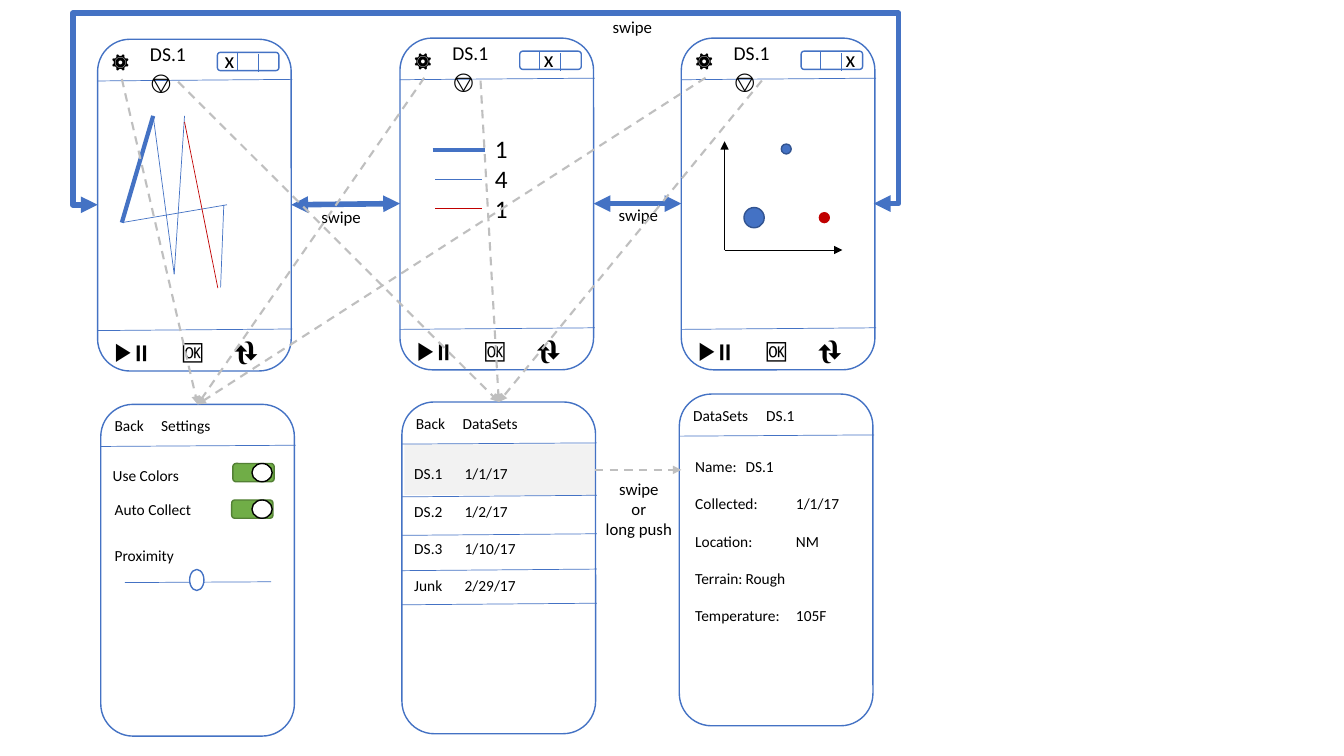
from lxml import etree
from pptx import Presentation
from pptx.dml.color import RGBColor
from pptx.enum import dml, shapes, text
from pptx.oxml import ns
from pptx.util import Cm, Pt

BLUE, RED, GREY, BLACK, WHITE = "4472C4", "C00000", "BFBFBF", "000000", "FFFFFF"
PHONE_WIDTH, PHONE_HEIGHT = 4.88, 8.36
ROUNDED, OVAL = shapes.MSO_SHAPE.ROUNDED_RECTANGLE, shapes.MSO_SHAPE.OVAL

presentation = Presentation()
presentation.slide_width, presentation.slide_height = Cm(33.87), Cm(19.05)
slide = presentation.slides.add_slide(presentation.slide_layouts[6])


def add(kind, left, top, width, height, fill=None, line=None, content="", size=11):
    """Add a preset shape, or a text box when kind is None."""
    box = [Cm(value) for value in (left, top, width, height)]
    if kind is None:
        shape = slide.shapes.add_textbox(*box)
        frame = shape.text_frame
        frame.word_wrap = True
        frame.margin_right = 0
        frame.text = content
        for paragraph in frame.paragraphs:
            for run in paragraph.runs:
                run.font.name, run.font.size = "Calibri", Pt(size)
                run.font.color.rgb = RGBColor.from_string(BLACK)
        return shape
    shape = slide.shapes.add_shape(kind, *box)
    shape.shadow.inherit = False
    for format_fill, color in ((shape.fill, fill), (shape.line.fill, line)):
        if color:
            format_fill.solid()
            format_fill.fore_color.rgb = RGBColor.from_string(color)
        else:
            format_fill.background()
    if line:
        shape.line.width = Pt(1)
    return shape


def connect(x1, y1, x2, y2, color=BLUE, width=0.5, ends=(), dashed=False,
            kind=shapes.MSO_CONNECTOR.STRAIGHT):
    """Add a connector; ends lists headEnd and tailEnd where arrowheads go."""
    connector = slide.shapes.add_connector(kind, Cm(x1), Cm(y1), Cm(x2), Cm(y2))
    connector.line.color.rgb = RGBColor.from_string(color)
    connector.line.width = Pt(width)
    if dashed:
        connector.line.dash_style = dml.MSO_LINE.DASH
    line = connector.line._get_or_add_ln()
    for end in ends:
        etree.SubElement(line, ns.qn("a:" + end), type="triangle")
    etree.SubElement(connector._element.spPr, ns.qn("a:effectLst"))
    return connector


# Three data screens: frame, header, page indicator and control icons
data_screens = [(2.46, 0.99, 2.95), (10.08, 0.96, 3.38), (17.17, 0.96, 3.89)]
for left, top, mark in data_screens:
    add(ROUNDED, left, top, PHONE_WIDTH, PHONE_HEIGHT, WHITE, BLUE)
    for y in (1.05, 7.34):
        connect(left, top + y, left + 4.91, top + y - 0.04)
    add(None, left + 0.1, top + 0.13, 1.02, 0.86, content="⚙", size=14)
    title = add(None, left + 1.07, top - 0.05, 1.9, 1.12, content="DS.1\n⎊", size=14)
    title.text_frame.paragraphs[1].runs[0].font.size = Pt(20)
    add(ROUNDED, left + 3.02, top + 0.33, 1.55, 0.46, WHITE, BLUE)
    for x, y in ((3.51, 0.33), (4.04, 0.37)):
        connect(left + x, top + y, left + x, top + y + 0.45)
    add(None, left + mark, top + 0.05, 0.64, 0.86, content="x", size=16)
    for x, icon in ((0.18, "▶️⏸"), (1.83, "🆗"), (3.18, "🔃")):
        add(None, left + x, top + 7.34, 1.5, 1.02, content=icon, size=18)

# Screen 1: path of strokes
for x1, y1, x2, y2, color, width in [
    (3.07, 5.61, 5.72, 5.16, BLUE, 0.5),
    (3.07, 5.61, 3.86, 2.92, BLUE, 3),
    (4.39, 6.91, 3.86, 2.92, BLUE, 0.5),
    (4.39, 6.91, 4.65, 2.92, BLUE, 0.5),
    (5.49, 7.26, 4.65, 3.07, RED, 0.5),
    (5.56, 7.24, 5.64, 5.16, BLUE, 0.5),
]:
    connect(x1, y1, x2, y2, color, width)

# Screen 2: counts per stroke type
connect(10.9, 3.78, 12.22, 3.78, BLUE, 3)
for y, color in ((4.52, BLUE), (5.26, RED)):
    connect(12.14, y, 10.97, y, color)
add(None, 12.22, 3.23, 0.84, 2.57, content="1\n4\n1", size=18)

# Screen 3: bubble plot
for x, y in ((21.23, 6.3), (18.26, 3.56)):
    connect(18.26, 6.3, x, y, BLACK, ends=["tailEnd"])
for x, y, size, fill, line in [
    (18.75, 5.23, 0.51, BLUE, "325491"),
    (19.69, 3.63, 0.25, BLUE, "325491"),
    (20.65, 5.36, 0.25, RED, RED),
]:
    add(OVAL, x, y, size, size, fill, line)

# Detail screens: highlighted list row, frames and headers
add(shapes.MSO_SHAPE.RECTANGLE, 10.19, 11.2, 4.83, 1.27, "F2F2F2")
for left, top, back, title, gap in [
    (2.54, 10.19, "Back", "Settings", 1.27),
    (10.13, 10.13, "Back", "DataSets", 1.28),
    (17.12, 9.93, "DataSets", "DS.1", 1.94),
]:
    add(ROUNDED, left, top, PHONE_WIDTH, PHONE_HEIGHT, None, BLUE)
    connect(left, top + 1.06, left + 4.91, top + 1.03)
    add(None, left + 0.1, top + 0.18, 2, 0.74, content=back)
    add(None, left + gap, top + 0.18, 2.2, 0.74, content=title)

# Settings: labels, toggles and slider
for x, y, label in [(2.59, 11.61, "Use Colors"), (2.64, 12.47, "Auto Collect"),
                    (2.64, 13.64, "Proximity")]:
    add(None, x, y, 2.6, 0.74, content=label)
for x, y in ((5.87, 11.68), (5.84, 12.6)):
    add(ROUNDED, x, y, 1.04, 0.46, "70AD47", "538035")
    add(OVAL, 6.35, y, 0.51, 0.46, WHITE, BLACK)
connect(3.15, 14.68, 6.83, 14.66)
add(OVAL, 4.78, 14.35, 0.36, 0.53, WHITE, BLUE)

# Data set list and its details, in two tabbed columns
for y in (12.52, 13.49, 14.38, 15.24):
    connect(10.13, y, 15.04, y - 0.04)
for left, top, rows in [
    (10.19, 11.58, ["DS.1\t1/1/17", "DS.2\t1/2/17", "DS.3\t1/10/17", "Junk\t2/29/17"]),
    (17.27, 11.4, ["Name:\tDS.1", "Collected:\t1/1/17", "Location:\tNM",
                   "Terrain:\tRough", "Temperature:\t105F"]),
]:
    listing = add(None, left, top, 4.4, 0.93 * len(rows), content="\n".join(rows))
    for paragraph in listing.text_frame.paragraphs:
        paragraph.space_after = Pt(13.4)

# Swipe arrows between the data screens
both_ends = ("headEnd", "tailEnd")
connect(7.34, 5.16, 10.08, 5.13, BLUE, 4, both_ends)
connect(14.96, 5.13, 17.17, 5.13, BLUE, 4, both_ends)
loop = connect(22.02, 5.13, 2.46, 5.16, BLUE, 4, both_ends, kind=shapes.MSO_CONNECTOR.ELBOW)
loop._element.spPr.find(ns.qn("a:xfrm")).set("rot", "10800000")
geometry = loop._element.spPr.find(ns.qn("a:prstGeom"))
geometry.set("prst", "bentConnector5")
guides = geometry.find(ns.qn("a:avLst"))
if guides is None:
    guides = etree.SubElement(geometry, ns.qn("a:avLst"))
for number, value in enumerate((-3200, 16100000, 103200), 1):
    etree.SubElement(guides, ns.qn("a:gd"), name=f"adj{number}", fmla=f"val {value}")
for x, y in ((7.85, 5.08), (15.34, 5.03), (15.19, 0.3)):
    add(None, x, y, 1.52, 0.76, content="swipe", size=12)

# Dashed links from the header items to their detail screens
for left, top, mark in data_screens:
    connect(left + 0.61, top + 1, 4.98, 10.19, GREY, 1.5, ["tailEnd"], True)
    connect(left + 2.03, top + 1.07, 12.57, 10.13, GREY, 1.5, ["tailEnd"], True)
connect(14.99, 11.84, 17.17, 11.84, GREY, 1.5, ["tailEnd"], True)
hint = add(None, 15.01, 11.94, 2.18, 1.8, content="swipe\nor\nlong push", size=12)
hint.text_frame.margin_left = 0
for paragraph in hint.text_frame.paragraphs:
    paragraph.alignment = text.PP_ALIGN.CENTER

presentation.save("out.pptx")
